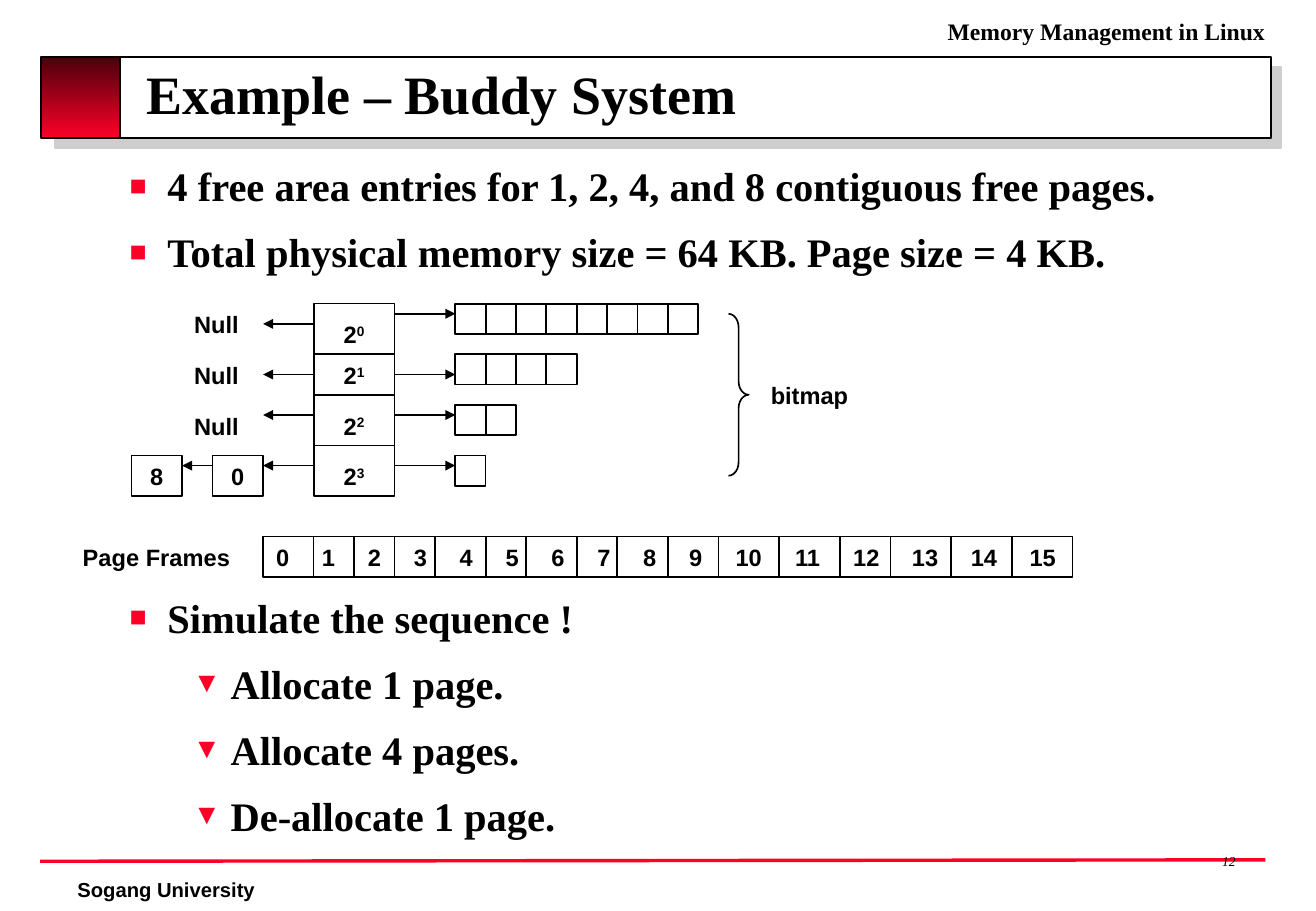
from pptx import Presentation
from pptx.dml.color import RGBColor as Rgb
from pptx.enum.shapes import MSO_CONNECTOR as Link, MSO_SHAPE as Kind
from pptx.enum.text import MSO_ANCHOR as Anchor, MSO_AUTO_SIZE as Fit, PP_ALIGN as Align
from pptx.oxml import parse_xml
from pptx.oxml.ns import nsdecls, qn
from pptx.util import Cm, Pt

# Content
TITLE = "Example – Buddy System"
COURSE = "Memory Management in Linux"
SCHOOL = "Sogang University"
NUMBER = "12"
POINTS = [  # text, level, space before in points
    ("4 free area entries for 1, 2, 4, and 8 contiguous free pages.", 0, 0),
    ("Total physical memory size = 64 KB. Page size = 4 KB.", 0, 10.3),
    ("Simulate the sequence !", 0, 187.7),
    ("Allocate 1 page.", 1, 10.3),
    ("Allocate 4 pages.", 1, 10.3),
    ("De-allocate 1 page.", 1, 10.3),
]
BULLETS = [("■", 0.79), ("▼", 2.11)]  # sign and left margin by level
# Grid rows: order, its label, bit cells, right arrow, left arrow, free list
AREAS = [
    {"power": 31, "row": 30, "bits": 8, "right": 31, "left": 32, "free": "Null"},
    {"power": 35, "row": 35, "bits": 4, "right": 37, "left": 37, "free": "Null"},
    {"power": 40, "row": 40, "bits": 2, "right": 41, "left": 41, "free": "Null"},
    {"power": 45, "row": 45, "bits": 1, "right": 46, "left": 46, "free": None},
]
AREA_CUTS = [35, 39, 44]
NODES = [("8", 13), ("0", 21)]
FRAMES = [str(n) for n in range(16)]
FRAME_CUTS = [31, 35, 39, 43, 48, 52, 57, 61, 66, 71, 77, 83, 88, 94, 100]

COLORS = {"ink": "000000", "paper": "FFFFFF", "red": "FC0128", "dark": "4A000B", "shade": "CECECE"}
SERIF, SANS = "Times New Roman", "Arial"
GRID = 2.54 / 12  # the diagram sits on a twelfth-of-an-inch grid

deck = Presentation()
deck.slide_width, deck.slide_height = Cm(27.53), Cm(19.05)
slide = deck.slides.add_slide(deck.slide_layouts[1])
shapes = slide.shapes


def color(name):
    return Rgb.from_string(COLORS[name])


def grid(*units):
    return [unit * GRID for unit in units]


def xml(tag, attrs="", inner=""):
    return parse_xml(f"<a:{tag} {nsdecls('a')} {attrs}>{inner}</a:{tag}>")


def shadow(dist):
    tint = f'<a:srgbClr val="{COLORS["shade"]}"/>'
    return xml("outerShdw", f'blurRad="0" dist="{Pt(dist)}" dir="2700000" algn="ctr" rotWithShape="0"', tint)


def write(para, text, size=14, font=SANS, bold=True, italic=False, align=Align.LEFT, power=False):
    para.alignment = align
    run = para.add_run()
    run.text = text
    run.font.size, run.font.name = Pt(size), font
    run.font.bold, run.font.italic = bold, italic
    run.font.color.rgb = color("ink")
    if power:
        run._r.get_or_add_rPr().set("baseline", "30000")
    return run


def place(shape, box):
    shape.left, shape.top, shape.width, shape.height = [Cm(v) for v in box]


def label(box, text, **form):
    area = shapes.add_textbox(*[Cm(v) for v in box])
    frame = area.text_frame
    frame.word_wrap = True
    frame.vertical_anchor = Anchor.MIDDLE
    write(frame.paragraphs[0], text, **form)
    return frame


def block(box, kind=Kind.RECTANGLE):
    shape = shapes.add_shape(kind, *[Cm(v) for v in box])
    shape.shadow.inherit = False
    shape.fill.solid()
    shape.fill.fore_color.rgb = color("paper")
    shape.line.color.rgb = color("ink")
    shape.line.width = Pt(1)
    shape.text_frame.vertical_anchor = Anchor.MIDDLE
    return shape


def line(x1, y1, x2, y2, tint="ink", width=1, arrow=False):
    link = shapes.add_connector(Link.STRAIGHT, Cm(x1), Cm(y1), Cm(x2), Cm(y2))
    link.line.color.rgb = color(tint)
    link.line.width = Pt(width)
    props = link._element.spPr
    if arrow:
        props.find(qn("a:ln")).append(xml("tailEnd", 'type="triangle"'))
    props.append(xml("effectLst"))


# Header and footer
banner = block((0.94, 1.19, 25.65, 1.7))
banner._element.spPr.find(qn("a:effectLst")).append(shadow(8.5))
badge = block((0.86, 1.19, 1.65, 1.7))
badge.fill.gradient()
badge.fill.gradient_angle = 270
for stop, tint in zip(badge.fill.gradient_stops, ("dark", "red")):
    stop.color.rgb = color(tint)
line(0.84, 18.01, 26.47, 17.98, tint="red", width=2)
label((1.37, 18.16, 18.4, 0.86), SCHOOL, size=12)
label((16.8, 0.23, 9.92, 0.86), COURSE, font=SERIF, align=Align.RIGHT)
label((23.1, 17.58, 3, 0.84), NUMBER, size=8, font=SERIF, bold=False, italic=True, align=Align.RIGHT)

# Title
title = shapes.title
place(title, (2.82, 1.12, 24.13, 1.9))
title.text_frame.auto_size = Fit.NONE
title.text_frame.vertical_anchor = Anchor.MIDDLE
head = title.text_frame.paragraphs[0]
head.line_spacing = 0.8
run = write(head, TITLE, size=32, font=SERIF)
glow = xml("effectLst")
glow.append(shadow(2))
run._r.rPr.find(qn("a:solidFill")).addnext(glow)

# Bullet list
body = slide.placeholders[1]
place(body, (2.46, 3.25, 24.13, 14.5))
frame = body.text_frame
frame.auto_size = Fit.NONE
for i, (text, level, gap) in enumerate(POINTS):
    para = frame.paragraphs[0] if i == 0 else frame.add_paragraph()
    sign, margin = BULLETS[level]
    para.level = level
    props = para._p.get_or_add_pPr()
    props.set("marL", str(Cm(margin)))
    props.set("indent", str(Cm(-0.79)))
    props.append(xml("buClr", inner=f'<a:srgbClr val="{COLORS["red"]}"/>'))
    props.append(xml("buSzPct", 'val="70000"'))
    props.append(xml("buFont", f'typeface="{SERIF}"'))
    props.append(xml("buChar", f'char="{sign}"'))
    para.space_before = Pt(gap)
    write(para, text, size=24, font=SERIF, align=Align.JUSTIFY)

# Bring title and list in front of the banner
for part in (title, body):
    shapes._spTree.append(part._element)

# Free area column with its bitmaps and free lists
block(grid(31, 30, 8, 19))
for y in AREA_CUTS:
    line(*grid(31, y, 39, y))
for order, area in enumerate(AREAS):
    power = label(grid(31, area["power"], 8, 4.1), "2", align=Align.CENTER)
    write(power.paragraphs[0], str(order), align=Align.CENTER, power=True)
    for bit in range(area["bits"]):
        block(grid(45 + 3 * bit, area["row"], 3, 3))
    line(*grid(39, area["right"], 45, area["right"]), arrow=True)
    line(*grid(31, area["left"], 26, area["left"]), arrow=True)
    if area["free"]:
        label(grid(18, area["row"], 8, 4.1), area["free"])

# Free blocks of the last order
for text, x in NODES:
    node = block(grid(x, 45, 5, 4))
    write(node.text_frame.paragraphs[0], text, align=Align.CENTER)
line(*grid(21, 46, 18, 46), arrow=True)

# Bitmap brace
brace = block(grid(72, 31, 2, 16), Kind.RIGHT_BRACE)
brace.fill.background()
brace.adjustments[0] = 0.67
label(grid(75, 37, 12, 4.1), "bitmap")

# Page frames: numbers stand on centred tab stops
label(grid(7, 53, 17, 4.1), "Page Frames")
strip = block(grid(26, 53, 80, 4))
frame = strip.text_frame
frame.margin_left = frame.margin_right = 0
para = frame.paragraphs[0]
stops = [0.41 + 0.96 * n if n < 10 else 10.16 + 1.23 * (n - 10) for n in range(len(FRAMES))]
tabs = "".join(f'<a:tab pos="{Cm(stop)}" algn="ctr"/>' for stop in stops)
para._p.get_or_add_pPr().append(xml("tabLst", inner=tabs))
write(para, "".join("\t" + number for number in FRAMES))
for x in FRAME_CUTS:
    line(*grid(x, 53, x, 57))

deck.save("out.pptx")
